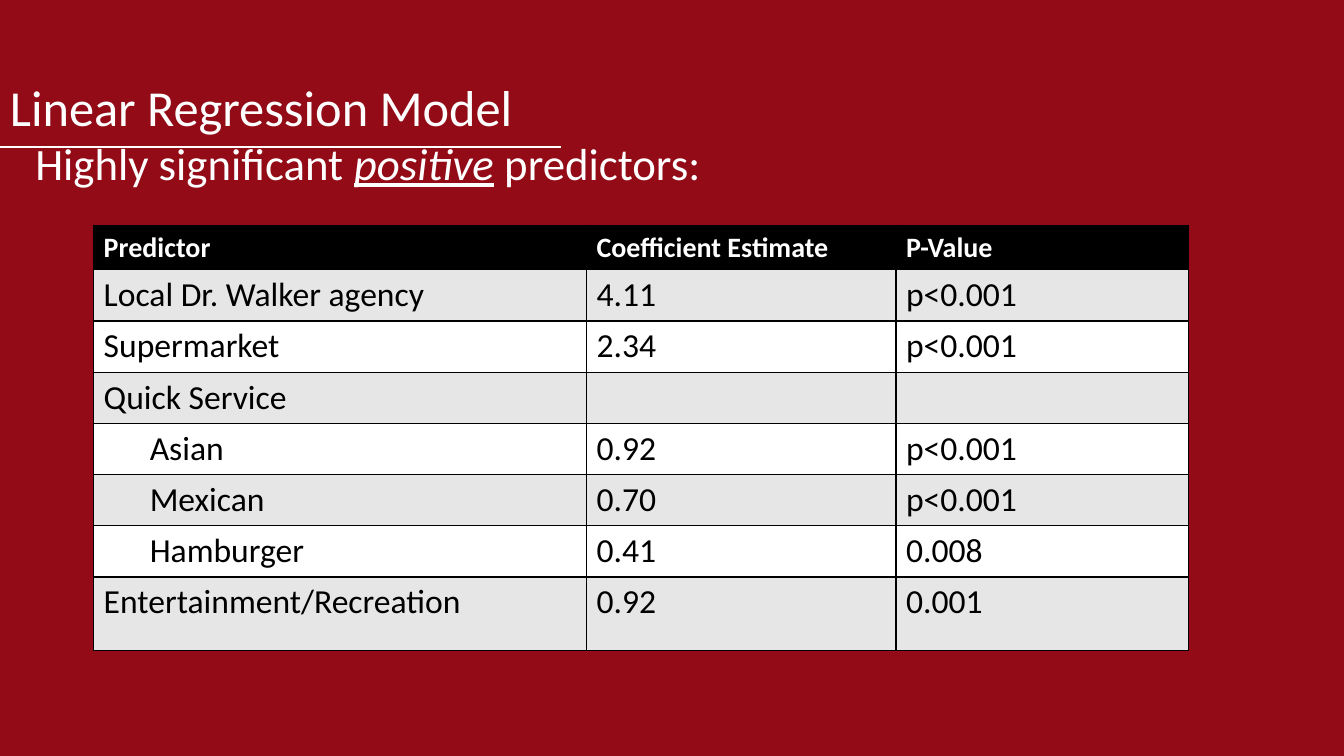
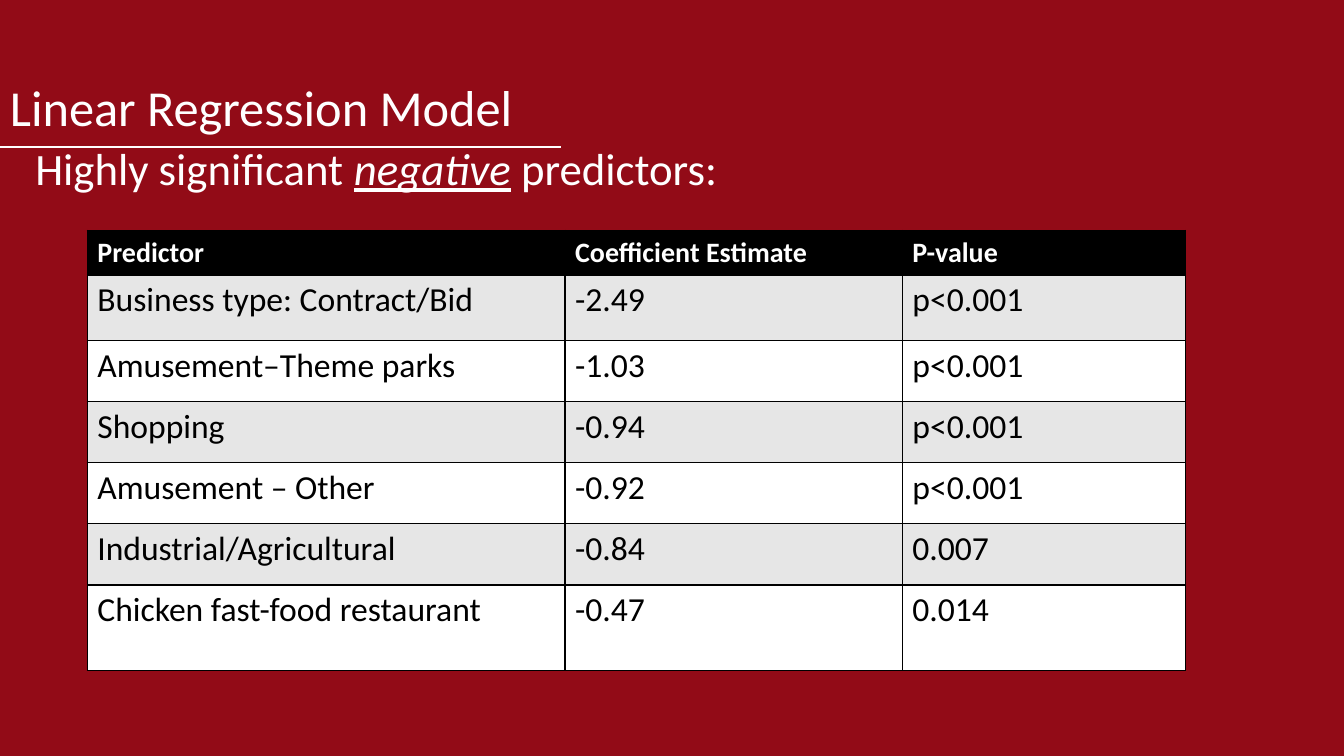
from dataclasses import dataclass

from lxml import etree
from pptx import Presentation
from pptx.dml.color import RGBColor
from pptx.enum.shapes import MSO_CONNECTOR
from pptx.enum.text import MSO_ANCHOR
from pptx.oxml.ns import qn
from pptx.slide import Slide
from pptx.table import _Cell
from pptx.text.text import _Paragraph
from pptx.util import Cm, Pt

STRAIGHT = MSO_CONNECTOR.STRAIGHT
TOP = MSO_ANCHOR.TOP
BOTTOM = MSO_ANCHOR.BOTTOM


@dataclass(frozen=True)
class Theme:
    font: str = "Calibri"
    background: RGBColor = RGBColor(0x92, 0x0B, 0x17)
    light: RGBColor = RGBColor(0xFF, 0xFF, 0xFF)
    dark: RGBColor = RGBColor(0x00, 0x00, 0x00)
    band: RGBColor = RGBColor(0xE6, 0xE6, 0xE6)
    title_size: int = 36
    lead_size: int = 32
    header_size: int = 20
    cell_size: int = 24
    rule_width: float = 1.5
    border_width: float = 1
    line_spacing: float = 0.9


@dataclass(frozen=True)
class Predictor:
    name: str
    estimate: str = ""
    p_value: str = ""
    nested: bool = False


@dataclass(frozen=True)
class ModelSlide:
    direction: str
    lead_top: float
    lead_height: float
    table_left: float
    table_top: float
    column_widths: list[float]
    row_heights: list[float]
    p_value_label: str
    predictors: list[Predictor]


THEME = Theme()
TITLE = "Linear Regression Model"
TEXT_WIDTH = 31.55
TEXT_INSET = 0.25
NESTED_INDENT = 1.16

MODEL_SLIDES = [
    ModelSlide(
        direction="positive",
        lead_top=3.33,
        lead_height=15.7,
        table_left=2.36,
        table_top=5.68,
        column_widths=[12.42, 7.8, 7.37],
        row_heights=[1.12] + [1.29] * 6 + [1.85],
        p_value_label="P-Value",
        predictors=[
            Predictor("Local Dr. Walker agency", "4.11", "p<0.001"),
            Predictor("Supermarket", "2.34", "p<0.001"),
            Predictor("Quick Service"),
            Predictor("Asian", "0.92", "p<0.001", nested=True),
            Predictor("Mexican", "0.70", "p<0.001", nested=True),
            Predictor("Hamburger", "0.41", "0.008", nested=True),
            Predictor("Entertainment/Recreation", "0.92", "0.001"),
        ],
    ),
    ModelSlide(
        direction="negative",
        lead_top=3.45,
        lead_height=11.1,
        table_left=2.2,
        table_top=5.81,
        column_widths=[12.04, 8.5, 7.14],
        row_heights=[1.12, 1.65] + [1.54] * 4 + [2.15],
        p_value_label="P-value",
        predictors=[
            Predictor("Business type: Contract/Bid", "-2.49", "p<0.001"),
            Predictor("Amusement–Theme parks", "-1.03", "p<0.001"),
            Predictor("Shopping", "-0.94", "p<0.001"),
            Predictor("Amusement – Other", "-0.92", "p<0.001"),
            Predictor("Industrial/Agricultural", "-0.84", "0.007"),
            Predictor("Chicken fast-food restaurant", "-0.47", "0.014"),
        ],
    ),
]


def style_paragraph(paragraph: _Paragraph, size: int, color: RGBColor, bold: bool = False) -> None:
    font = paragraph.font
    font.name = THEME.font
    font.size = Pt(size)
    font.bold = bold
    font.color.rgb = color


def add_text(slide: Slide, left: float, top: float, height: float,
             size: int, anchor: MSO_ANCHOR) -> _Paragraph:
    text_box = slide.shapes.add_textbox(Cm(left), Cm(top), Cm(TEXT_WIDTH), Cm(height))
    frame = text_box.text_frame
    frame.word_wrap = True
    frame.vertical_anchor = anchor
    frame.margin_left = frame.margin_right = Cm(TEXT_INSET)
    frame.margin_top = frame.margin_bottom = Cm(TEXT_INSET)
    paragraph = frame.paragraphs[0]
    paragraph.line_spacing = THEME.line_spacing
    style_paragraph(paragraph, size, THEME.light)
    return paragraph


def add_title(slide: Slide) -> None:
    paragraph = add_text(slide, 0, 0.99, 2.72, THEME.title_size, BOTTOM)
    paragraph.add_run().text = TITLE


def add_lead(slide: Slide, model: ModelSlide) -> None:
    paragraph = add_text(slide, 0.64, model.lead_top, model.lead_height, THEME.lead_size, TOP)
    paragraph.add_run().text = "Highly significant "
    emphasis = paragraph.add_run()
    emphasis.text = model.direction
    emphasis.font.italic = True
    emphasis.font.underline = True
    paragraph.add_run().text = " predictors:"


def add_rule(slide: Slide) -> None:
    rule = slide.shapes.add_connector(STRAIGHT, Cm(0), Cm(3.71), Cm(14.15), Cm(3.71))
    rule.line.color.rgb = THEME.light
    rule.line.width = Pt(THEME.rule_width)
    etree.SubElement(rule._element.spPr, qn("a:effectLst"))


def add_borders(cell: _Cell) -> None:
    properties = cell._tc.get_or_add_tcPr()
    for position, side in enumerate(("lnL", "lnR", "lnT", "lnB")):
        border = etree.Element(qn(f"a:{side}"), w=str(Pt(THEME.border_width)))
        fill = etree.SubElement(border, qn("a:solidFill"))
        etree.SubElement(fill, qn("a:srgbClr"), val=str(THEME.dark))
        properties.insert(position, border)


def fill_cell(cell: _Cell, text: str, background: RGBColor, header: bool) -> None:
    cell.text = text
    cell.fill.solid()
    cell.fill.fore_color.rgb = background
    add_borders(cell)
    size = THEME.header_size if header else THEME.cell_size
    color = THEME.light if header else THEME.dark
    style_paragraph(cell.text_frame.paragraphs[0], size, color, bold=header)


def indent_cell(cell: _Cell) -> None:
    properties = cell.text_frame.paragraphs[0]._p.get_or_add_pPr()
    properties.set("marL", str(Cm(NESTED_INDENT)))


def add_predictor_table(slide: Slide, model: ModelSlide) -> None:
    header = Predictor("Predictor", "Coefficient Estimate", model.p_value_label)
    rows = [header, *model.predictors]
    table = slide.shapes.add_table(
        len(rows), len(model.column_widths),
        Cm(model.table_left), Cm(model.table_top),
        Cm(sum(model.column_widths)), Cm(sum(model.row_heights)),
    ).table
    for column, width in zip(table.columns, model.column_widths):
        column.width = Cm(width)
    for index, (predictor, height) in enumerate(zip(rows, model.row_heights)):
        table.rows[index].height = Cm(height)
        is_header = index == 0
        banded = THEME.band if index % 2 else THEME.light
        background = THEME.dark if is_header else banded
        values = (predictor.name, predictor.estimate, predictor.p_value)
        for column_index, value in enumerate(values):
            fill_cell(table.cell(index, column_index), value, background, is_header)
        if predictor.nested:
            indent_cell(table.cell(index, 0))


def main() -> None:
    presentation = Presentation()
    presentation.slide_width = Cm(33.87)
    presentation.slide_height = Cm(19.05)
    background = presentation.slide_master.background.fill
    background.solid()
    background.fore_color.rgb = THEME.background
    blank_layout = presentation.slide_layouts[6]
    for model in MODEL_SLIDES:
        slide = presentation.slides.add_slide(blank_layout)
        add_title(slide)
        add_lead(slide, model)
        add_rule(slide)
        add_predictor_table(slide, model)
    presentation.save("out.pptx")


if __name__ == "__main__":
    main()
